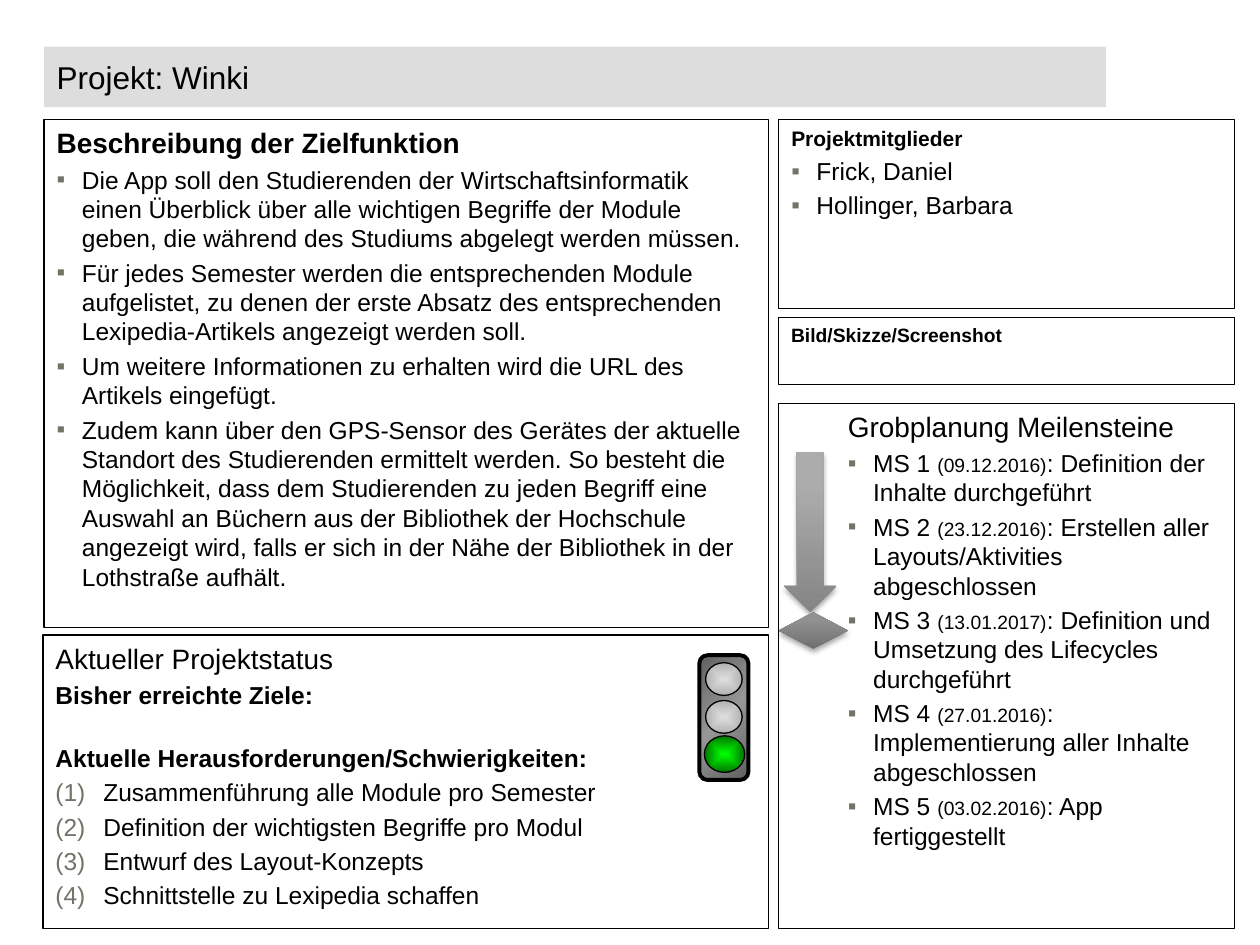
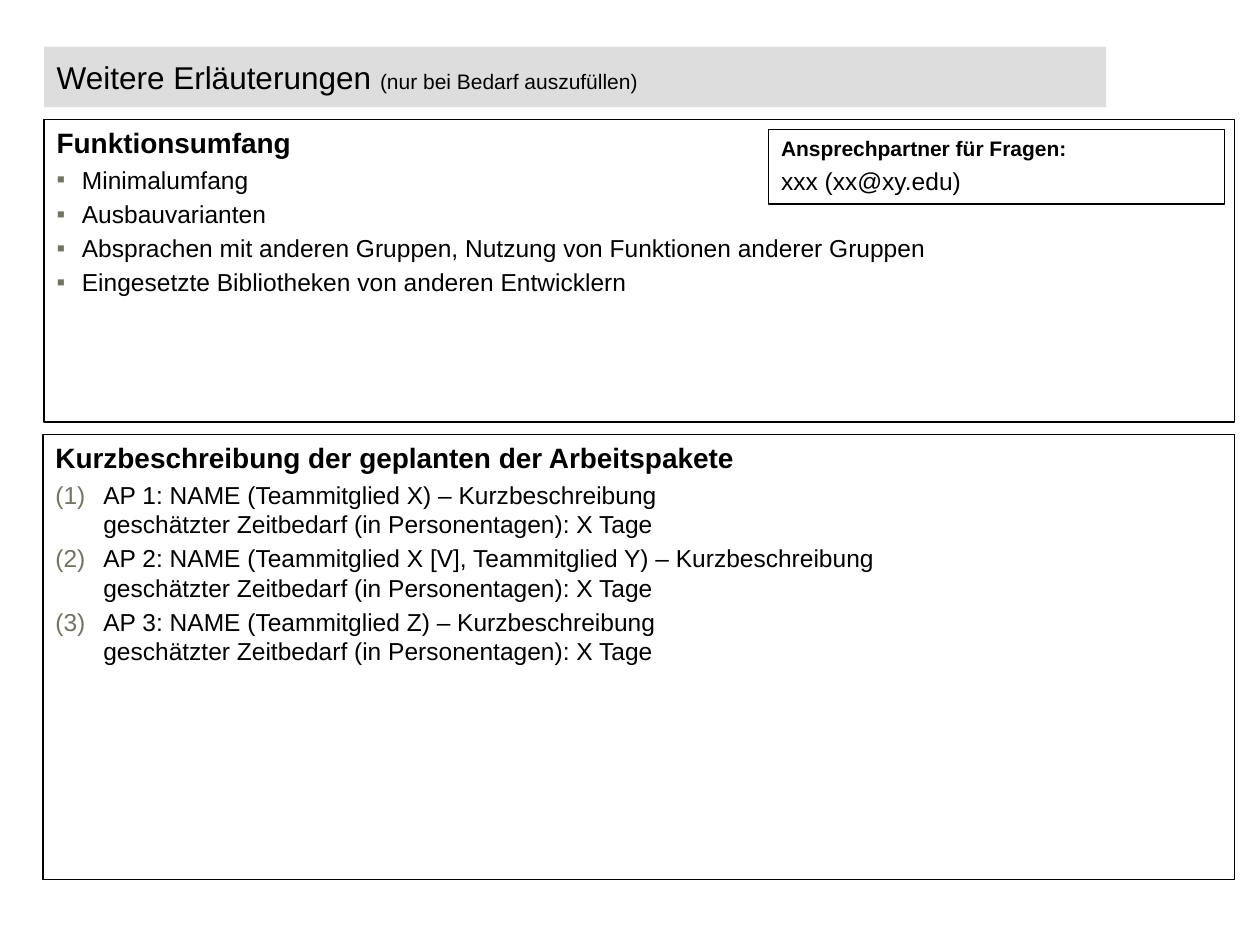
import pptx
import pptx.util
import pptx.dml.color
import pptx.enum.shapes
import pptx.enum.text
import lxml.etree

PX = 9144
BLACK = pptx.dml.color.RGBColor(0, 0, 0)
BAND = pptx.dml.color.RGBColor(0xDD, 0xDD, 0xDD)
MARK = pptx.dml.color.RGBColor(0x73, 0x73, 0x66)
SHADE = [(0, "858585"), (80, "ACACAC"), (100, "ADADAD")]
DARK = [(0, "707070"), (80, "919191"), (100, "929292")]
STEEL = [(0, "5F5F5F"), (50, "969696"), (100, "5F5F5F")]
GREY = [(0, "DDDDDD"), (100, "B2B2B2")]
GREEN = [(0, "00FF00"), (100, "007600")]
NS = 'xmlns:a="http://schemas.openxmlformats.org/drawingml/2006/main"'
FORM = pptx.enum.shapes.MSO_SHAPE
ANCHOR = pptx.enum.text.MSO_ANCHOR
TITLE = (35, 37, 843, 48)
MARKS = {
    "plain": (0, "<a:buNone/>"),
    "list": (20, '<a:buFont typeface="Arial"/><a:buChar char="▪"/>'),
    "count": (38, '<a:buFont typeface="Arial"/><a:buAutoNum type="arabicParenBoth"/>'),
}


def write(shape, area, paras, inset=10, small=11, anchor=ANCHOR.TOP):
    shape.left, shape.top, shape.width, shape.height = [n * PX for n in area]
    frame = shape.text_frame
    frame.word_wrap = True
    frame.auto_size = pptx.enum.text.MSO_AUTO_SIZE.NONE
    frame.vertical_anchor = anchor
    frame.margin_left, frame.margin_right = inset * PX, 10 * PX
    frame.margin_top = frame.margin_bottom = 5 * PX
    for i, (kind, size, bold, text) in enumerate(paras):
        para = frame.paragraphs[0] if i == 0 else frame.add_paragraph()
        para.alignment = pptx.enum.text.PP_ALIGN.LEFT
        hang, mark = MARKS[kind]
        props = para._p.get_or_add_pPr()
        props.set("marL", str(hang * PX))
        props.set("indent", str(-hang * PX))
        xml = (f'<a:x {NS}><a:spcBef><a:spcPct val="20000"/></a:spcBef>'
               f'<a:buClr><a:srgbClr val="{MARK}"/></a:buClr>{mark}</a:x>')
        props.extend(list(lxml.etree.fromstring(xml)))
        para.font.name = "Arial"
        para.font.size = pptx.util.Pt(size)
        para.font.bold = bold
        para.font.color.rgb = BLACK
        if "|" not in text:
            para.text = text
            continue
        for n, part in enumerate(text.split("|")):
            run = para.add_run()
            run.text = part
            if n == 1:
                run.font.size = pptx.util.Pt(small)


def paint(shape, stops, way, line=0):
    if line:
        shape.line.color.rgb = BLACK
        shape.line.width = pptx.util.Pt(line)
    else:
        shape.line.fill.background()
    shape.shadow.inherit = False
    marks = "".join(f'<a:gs pos="{p * 1000}"><a:srgbClr val="{c}"/></a:gs>' for p, c in stops)
    if way is None:
        tail = ('<a:path path="shape"><a:fillToRect l="50000" t="50000" '
                'r="50000" b="50000"/></a:path>')
    else:
        tail = f'<a:lin ang="{way * 60000}" scaled="0"/>'
    xml = f'<a:gradFill {NS} rotWithShape="1"><a:gsLst>{marks}</a:gsLst>{tail}</a:gradFill>'
    shape.element.spPr.find("{*}prstGeom").addnext(lxml.etree.fromstring(xml))


goals = [
    "Die App soll den Studierenden der Wirtschaftsinformatik einen Überblick über alle wichtigen "
    "Begriffe der Module geben, die während des Studiums abgelegt werden müssen.",
    "Für jedes Semester werden die entsprechenden Module aufgelistet, zu denen der erste Absatz "
    "des entsprechenden Lexipedia-Artikels angezeigt werden soll.",
    "Um weitere Informationen zu erhalten wird die URL des Artikels eingefügt.",
    "Zudem kann über den GPS-Sensor des Gerätes der aktuelle Standort des Studierenden ermittelt "
    "werden. So besteht die Möglichkeit, dass dem Studierenden zu jeden Begriff eine Auswahl an "
    "Büchern aus der Bibliothek der Hochschule angezeigt wird, falls er sich in der Nähe der "
    "Bibliothek in der Lothstraße aufhält.",
]
steps = [
    "MS 1 |(09.12.2016)|: Definition der Inhalte durchgeführt",
    "MS 2 |(23.12.2016)|: Erstellen aller Layouts/Aktivities abgeschlossen",
    "MS 3 |(13.01.2017)|: Definition und Umsetzung des Lifecycles durchgeführt",
    "MS 4 |(27.01.2016)|: Implementierung aller Inhalte abgeschlossen",
    "MS 5 |(03.02.2016)|: App fertiggestellt",
]
team = ["Frick, Daniel", "Hollinger, Barbara"]
tasks = [
    "Zusammenführung alle Module pro Semester",
    "Definition der wichtigsten Begriffe pro Modul",
    "Entwurf des Layout-Konzepts",
    "Schnittstelle zu Lexipedia schaffen",
]
scope = [
    "Minimalumfang",
    "Ausbauvarianten",
    "Absprachen mit anderen Gruppen, Nutzung von Funktionen anderer Gruppen",
    "Eingesetzte Bibliotheken von anderen Entwicklern",
]
packs = [
    f"AP {n}: NAME (Teammitglied {who}) – Kurzbeschreibung\v"
    "geschätzter Zeitbedarf (in Personentagen): X Tage"
    for n, who in enumerate(["X", "X [V], Teammitglied Y", "Z"], 1)
]

pages = [
    (4, "Projekt: Winki", [
        (1, (35, 95, 575, 403), 10,
         [("plain", 16, True, "Beschreibung der Zielfunktion")]
         + [("list", 14, False, t) for t in goals]),
        (2, (618, 95, 362, 150), 10,
         [("plain", 12, True, "Projektmitglieder")]
         + [("list", 14, False, t) for t in team]),
        (3, (34, 504, 576, 233), 10,
         [("plain", 16, False, "Aktueller Projektstatus"),
          ("plain", 14, True, "Bisher erreichte Ziele:"),
          ("plain", 14, True, "Aktuelle Herausforderungen/Schwierigkeiten:")]
         + [("count", 14, False, t) for t in tasks]),
        (4, (618, 320, 362, 417), 55,
         [("plain", 16, False, "Grobplanung Meilensteine")]
         + [("list", 14, False, t) for t in steps]),
        (None, (618, 252, 362, 53), 10,
         [("plain", 11, True, "Bild/Skizze/Screenshot")]),
    ]),
    (3, "Weitere Erläuterungen |(nur bei Bedarf auszufüllen)", [
        (1, (35, 95, 945, 240), 10,
         [("plain", 16, True, "Funktionsumfang")]
         + [("list", 14, False, t) for t in scope]),
        (2, (34, 345, 946, 353), 10,
         [("plain", 16, True, "Kurzbeschreibung der geplanten der Arbeitspakete")]
         + [("count", 14, False, t) for t in packs]),
        (None, (610, 103, 362, 59), 10,
         [("plain", 12, True, "Ansprechpartner für Fragen:"),
          ("plain", 14, False, "xxx (xx@xy.edu)")]),
    ]),
]

deck = pptx.Presentation()
deck.slide_width, deck.slide_height = 1000 * PX, 750 * PX

for layout, head, boxes in pages:
    slide = deck.slides.add_slide(deck.slide_layouts[layout])
    title = slide.shapes.title
    write(title, TITLE, [("plain", 18, False, head)], small=12, anchor=ANCHOR.MIDDLE)
    title.fill.solid()
    title.fill.fore_color.rgb = BAND
    for slot, area, inset, paras in boxes:
        if slot is None:
            box = slide.shapes.add_shape(FORM.RECTANGLE, 0, 0, PX, PX)
            box.shadow.inherit = False
        else:
            box = slide.placeholders[slot]
        write(box, area, paras, inset)
        box.fill.background()
        box.line.color.rgb = BLACK
        box.line.width = pptx.util.Pt(0.75)

first = deck.slides[0]
first.placeholders[3].text_frame.paragraphs[2].space_before = pptx.util.Pt(19.3)

for form, area, stops in [
    (FORM.DOWN_ARROW, (622, 359, 42, 127), SHADE),
    (FORM.DIAMOND, (618, 486, 55, 29), DARK),
]:
    sign = first.shapes.add_shape(form, *[n * PX for n in area])
    paint(sign, stops, 270)
    xml = (f'<a:outerShdw {NS} blurRad="39370" dist="22860" dir="5400000" rotWithShape="0">'
           '<a:srgbClr val="000000"><a:alpha val="35000"/></a:srgbClr></a:outerShdw>')
    sign.element.spPr.find("{*}effectLst").append(lxml.etree.fromstring(xml))

light = first.shapes.add_group_shape()
for form, area, stops, way, line in [
    (FORM.FLOWCHART_ALTERNATE_PROCESS, (555, 520, 39, 99), STEEL, 45, 2.25),
    (FORM.OVAL, (560, 526, 29, 26), GREY, None, 0.75),
    (FORM.OVAL, (560, 556, 29, 26), GREY, None, 0.75),
    (FORM.OVAL, (559, 584, 32, 29), GREEN, None, 0.75),
]:
    lamp = light.shapes.add_shape(form, *[n * PX for n in area])
    paint(lamp, stops, way, line)

deck.save("out.pptx")
